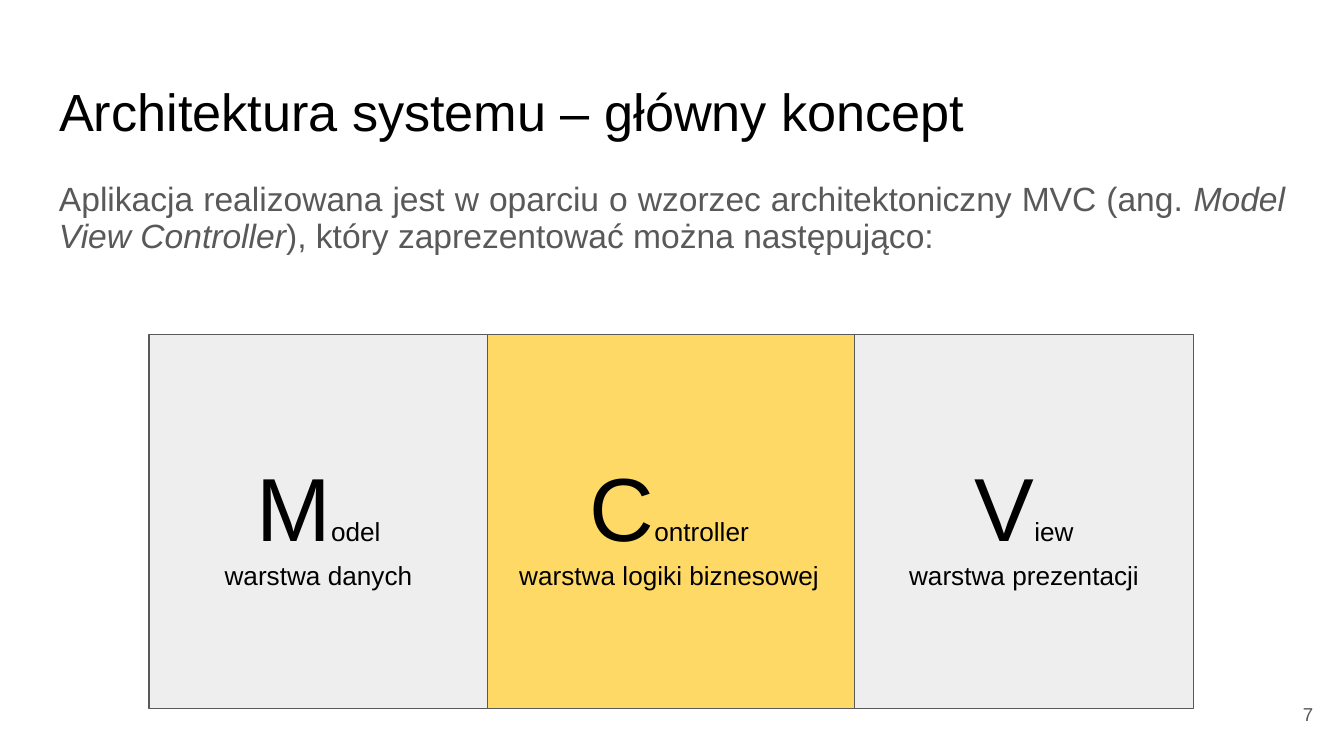
from pptx import Presentation
from pptx.dml.color import RGBColor
from pptx.enum.shapes import MSO_SHAPE
from pptx.enum.text import MSO_ANCHOR, MSO_AUTO_SIZE, PP_ALIGN
from pptx.util import Inches, Pt

BLACK, GREY = "000000", "595959"


def color(value):
    return RGBColor.from_string(value)


def place(sp, box):
    sp.left, sp.top, sp.width, sp.height = (Inches(v) for v in box)


def setup_frame(tf, anchor):
    tf.word_wrap = True
    tf.auto_size = MSO_AUTO_SIZE.NONE
    tf.vertical_anchor = anchor
    tf.margin_left = tf.margin_right = Inches(0.1)
    tf.margin_top = tf.margin_bottom = Inches(0.1)


def add_run(p, text, size, fill, italic=False):
    r = p.add_run()
    r.text = text
    r.font.name = "Arial"
    r.font.size = Pt(size)
    r.font.italic = italic
    r.font.color.rgb = color(fill)


def add_title(s, box, text):
    sp = s.shapes.title
    place(sp, box)
    setup_frame(sp.text_frame, MSO_ANCHOR.TOP)
    p = sp.text_frame.paragraphs[0]
    p.alignment = PP_ALIGN.LEFT
    p.line_spacing = 1.0
    add_run(p, text, 28, BLACK)


def add_text(s, box, anchor, align):
    sp = s.shapes.add_textbox(*(Inches(v) for v in box))
    setup_frame(sp.text_frame, anchor)
    p = sp.text_frame.paragraphs[0]
    p.alignment = align
    return p


def add_intro(s, box):
    p = add_text(s, box, MSO_ANCHOR.TOP, PP_ALIGN.JUSTIFY)
    p.line_spacing = 0.9
    p.space_before = Pt(10)
    add_run(p, "Aplikacja realizowana jest w oparciu o wzorzec architektoniczny MVC (ang. ", 18, GREY)
    add_run(p, "Model View Controller", 18, GREY, True)
    add_run(p, "), który zaprezentować można następująco:", 18, GREY)


def add_layer(s, box, fill, name, caption):
    sp = s.shapes.add_shape(MSO_SHAPE.RECTANGLE, *(Inches(v) for v in box))
    sp.shadow.inherit = False
    sp.fill.solid()
    sp.fill.fore_color.rgb = color(fill)
    sp.line.color.rgb = color(GREY)
    sp.line.width = Pt(0.75)
    tf = sp.text_frame
    setup_frame(tf, MSO_ANCHOR.MIDDLE)
    p = tf.paragraphs[0]
    p.alignment = PP_ALIGN.CENTER
    add_run(p, name[0], 48, BLACK)
    add_run(p, name[1:], 14, BLACK)
    p = tf.add_paragraph()
    p.alignment = PP_ALIGN.CENTER
    add_run(p, caption, 14, BLACK)


def add_mvc(s, box):
    left, top, width, height = box
    side, middle = 2.52, 3.2
    layers = [
        (2.27, middle, "FFD966", "Controller", "warstwa logiki biznesowej"),
        (0, side, "EEEEEE", "Model", "warstwa danych"),
        (width - side, side, "EEEEEE", "View", "warstwa prezentacji"),
    ]
    for offset, layer_width, fill, name, caption in layers:
        add_layer(s, (left + offset, top, layer_width, height), fill, name, caption)


def add_page_number(s, box, number):
    p = add_text(s, box, MSO_ANCHOR.MIDDLE, PP_ALIGN.RIGHT)
    add_run(p, number, 10, GREY)


prs = Presentation()
prs.slide_width = Inches(10)
prs.slide_height = prs.slide_width * 9 // 16
s = prs.slides.add_slide(prs.slide_layouts[5])
s.background.fill.solid()
s.background.fill.fore_color.rgb = color("FFFFFF")
add_title(s, (0.34, 0.49, 9.32, 0.63), "Architektura systemu – główny koncept")
add_intro(s, (0.34, 1.26, 9.32, 3.74))
add_mvc(s, (1.11, 2.49, 7.77, 2.78))
add_page_number(s, (9.27, 5.1, 0.6, 0.43), "7")
prs.save("out.pptx")
